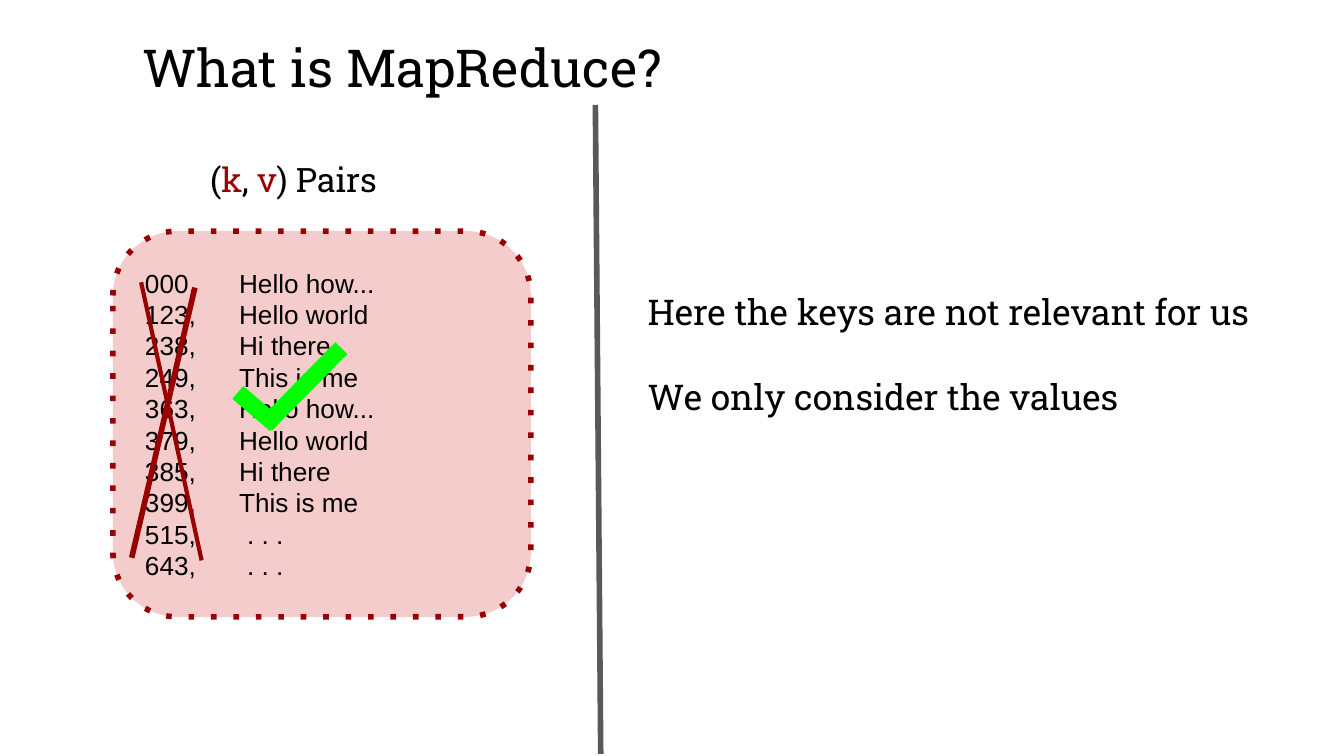
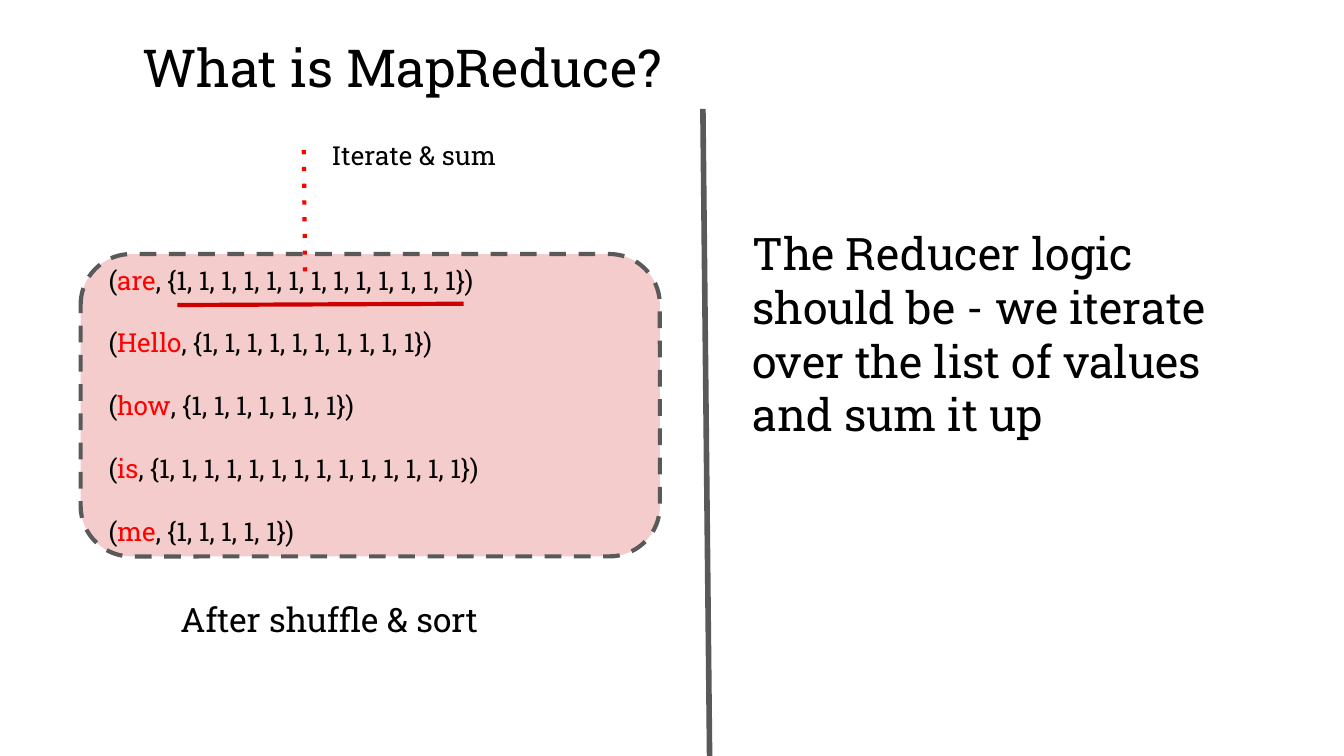
from dataclasses import dataclass

from lxml.etree import SubElement
from pptx import Presentation
from pptx.dml.color import RGBColor
from pptx.enum.dml import MSO_LINE_DASH_STYLE as Dash
from pptx.enum.shapes import MSO_AUTO_SHAPE_TYPE as Shape
from pptx.enum.shapes import MSO_CONNECTOR_TYPE as Connector
from pptx.enum.text import MSO_AUTO_SIZE as AutoSize
from pptx.enum.text import MSO_VERTICAL_ANCHOR as Anchor
from pptx.enum.text import PP_PARAGRAPH_ALIGNMENT as Align
from pptx.oxml.ns import qn
from pptx.util import Inches, Pt


@dataclass(frozen=True)
class Theme:
    slab: str = "Roboto Slab"
    sans: str = "Arial"
    ink: str = "000000"
    gray: str = "595959"
    pink: str = "F4CCCC"
    maroon: str = "990000"
    crimson: str = "CC0000"
    red: str = "FF0000"
    green: str = "00FF00"
    title: int = 28
    large: int = 24
    body: int = 19
    label: int = 18
    small: int = 14
    thin: float = 2.25
    thick: float = 3
    tick: float = 9
    line_height: float = 1.2
    corner: float = 0.167
    inset: float = 0.1
    tab: float = 0.7
    dots_tab: float = 0.76


THEME = Theme()
PAGE_WIDTH = Inches(10)
PAGE_HEIGHT = PAGE_WIDTH * 9 // 16

PAIRS = [
    ("000", "Hello how..."),
    ("123", "Hello world"),
    ("238", "Hi there"),
    ("249", "This is me"),
    ("363", "Hello how..."),
    ("379", "Hello world"),
    ("385", "Hi there"),
    ("399", "This is me"),
    ("515", ". . ."),
    ("643", ". . ."),
]
WORD_COUNTS = {"are": 13, "Hello": 10, "how": 7, "is": 14, "me": 5}


def set_values(target, values):
    for name, value in values.items():
        setattr(target, name, value)


def style_line(shape, color, width, dash=None):
    shape.line.color.rgb = RGBColor.from_string(color)
    shape.line.width = Pt(width)
    if dash:
        shape.line.dash_style = Dash.DASH
        shape._element.xpath(".//a:prstDash")[0].set("val", dash)


def add_line(page, start, end, color, width, dash=None):
    ends = [Inches(value) for value in (*start, *end)]
    line = page.shapes.add_connector(Connector.STRAIGHT, *ends)
    style_line(line, color, width, dash)
    SubElement(line._element.spPr, qn("a:effectLst"))


def add_tab_stop(para, position):
    stops = SubElement(para._p.get_or_add_pPr(), qn("a:tabLst"))
    SubElement(stops, qn("a:tab"), pos=str(Inches(position)), algn="l")


def write(frame, paragraphs, size, font=THEME.slab, align=Align.LEFT, spaced=False):
    margins = ("margin_left", "margin_top", "margin_right", "margin_bottom")
    set_values(frame, dict.fromkeys(margins, Inches(THEME.inset)))
    frame.word_wrap = True
    for index, spans in enumerate(paragraphs):
        para = frame.add_paragraph() if index else frame.paragraphs[0]
        para.alignment = align
        if spaced and index:
            para.space_before = Pt(size * THEME.line_height)
        for text, color in spans:
            span = para.add_run()
            span.text = text
            set_values(span.font, {"name": font, "size": Pt(size)})
            span.font.color.rgb = RGBColor.from_string(color)


def plain(*lines):
    return [[(line, THEME.ink)] for line in lines]


def add_text(page, place, paragraphs, size, **options):
    box = page.shapes.add_textbox(*map(Inches, place))
    write(box.text_frame, paragraphs, size, **options)
    box.text_frame.auto_size = AutoSize.SHAPE_TO_FIT_TEXT


def add_panel(page, place, paragraphs, line, **options):
    panel = page.shapes.add_shape(Shape.ROUNDED_RECTANGLE, *map(Inches, place))
    panel.shadow.inherit = False
    panel.adjustments[0] = THEME.corner
    panel.fill.solid()
    panel.fill.fore_color.rgb = RGBColor.from_string(THEME.pink)
    style_line(panel, *line)
    panel.text_frame.vertical_anchor = Anchor.MIDDLE
    write(panel.text_frame, paragraphs, THEME.small, **options)
    return panel


def add_page(deck, divider_start, divider_end):
    page = deck.slides.add_slide(deck.slide_layouts[6])
    add_text(page, (0.96, 0.16, 4.62, 0.67), plain("What is MapReduce?"), THEME.title)
    add_line(page, divider_start, divider_end, THEME.gray, THEME.thick)
    return page


def add_pairs_page(deck):
    page = add_page(deck, (4.43, 0.78), (4.47, 5.61))
    add_text(
        page, (4.72, 2.06, 4.7, 1.16),
        plain("Here the keys are not relevant for us", "We only consider the values"),
        THEME.body, spaced=True,
    )
    panel = add_panel(
        page, (0.84, 1.72, 3.11, 2.87),
        plain(*(f"{key},\t{value}" for key, value in PAIRS)),
        (THEME.maroon, THEME.thick, "dot"), font=THEME.sans,
    )
    for para, (_, value) in zip(panel.text_frame.paragraphs, PAIRS):
        add_tab_stop(para, THEME.dots_tab if value.startswith(".") else THEME.tab)
    add_line(page, (1.05, 2.1), (1.5, 4.17), THEME.maroon, THEME.thin)
    add_line(page, (1.45, 2.14), (0.98, 4.15), THEME.maroon, THEME.thick)
    add_line(page, (1.77, 2.92), (2.05, 3.16), THEME.green, THEME.tick)
    add_line(page, (1.98, 3.16), (2.54, 2.59), THEME.green, THEME.tick)
    heading = [
        ("(", THEME.ink), ("k", THEME.maroon), (", ", THEME.ink),
        ("v", THEME.maroon), (") Pairs", THEME.ink),
    ]
    add_text(page, (1.12, 1.08, 2.13, 0.5), [heading], THEME.label, align=Align.CENTER)


def word_spans(word, count):
    ones = ", ".join(["1"] * count)
    return [("(", THEME.ink), (word, THEME.red), (f", {{{ones}}})", THEME.ink)]


def add_reducer_page(deck):
    page = add_page(deck, (5.23, 0.81), (5.28, 5.65))
    add_text(
        page, (5.5, 1.58, 3.94, 1.82),
        plain("The Reducer logic should be - we iterate over the list of values and sum it up"),
        THEME.large,
    )
    add_panel(
        page, (0.6, 1.89, 4.31, 2.25),
        [word_spans(word, count) for word, count in WORD_COUNTS.items()],
        (THEME.gray, THEME.thin, "dash"), spaced=True,
    )
    add_line(page, (1.32, 2.27), (3.45, 2.26), THEME.crimson, THEME.thin)
    add_line(page, (2.27, 2.02), (2.26, 1.05), THEME.red, THEME.thin, "dot")
    add_text(page, (2.37, 0.94, 1.73, 0.44), plain("Iterate & sum"), THEME.small)
    add_text(
        page, (0.8, 4.36, 3.3, 0.5), plain("After shuffle & sort"),
        THEME.label, align=Align.CENTER,
    )


def main():
    deck = Presentation()
    set_values(deck, {"slide_width": PAGE_WIDTH, "slide_height": PAGE_HEIGHT})
    add_pairs_page(deck)
    add_reducer_page(deck)
    deck.save("out.pptx")


if __name__ == "__main__":
    main()
